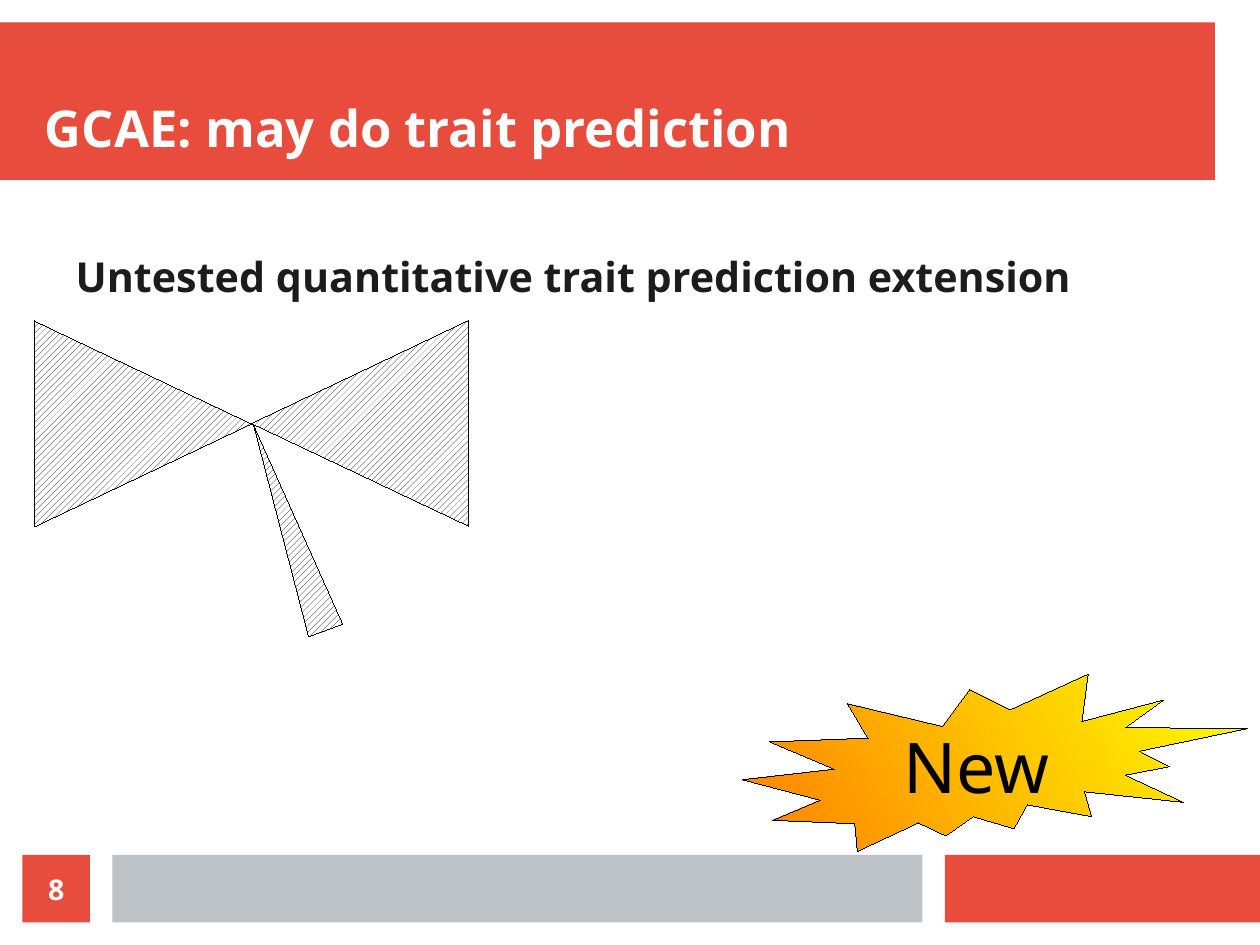
from pptx import Presentation
from pptx import util as u
from pptx.dml.color import RGBColor
from pptx.enum import dml, shapes, text
from pptx.oxml.ns import qn
from lxml import etree

RED = RGBColor(0xE7, 0x4C, 0x3C)
GREY = RGBColor(0xBD, 0xC3, 0xC7)
WHITE = RGBColor(0xFF, 0xFF, 0xFF)
BLACK = RGBColor(0, 0, 0)
INK = RGBColor(0x1C, 0x1C, 0x1C)
YELLOW = RGBColor(0xFF, 0xFF, 0)
ORANGE = RGBColor(0xFF, 0x80, 0)
FONT = "Noto Sans"

TITLE = "GCAE: may do trait prediction"
BODY = "Untested quantitative trait prediction extension"
BADGE = "New"
PAGE_NUMBER = "8"

TITLE_BOX = (1, 1, 26, 2.5)
BODY_BOX = (1.68, 5.58, 25.5, 13)
BADGE_BOX = (16.5, 14.98, 11.22, 3.94)
NUMBER_BOX = (0.5, 19, 1.5, 1.5)
BARS = [
    ((0, 0.5, 27, 3.5), RED),
    ((21, 19, 7, 1.5), RED),
    ((2.5, 19, 18, 1.5), GREY),
]
TRIANGLES = [
    [(0.76, 7.13), (5.59, 9.42), (0.76, 11.71)],
    [(10.41, 7.12), (5.59, 9.41), (10.41, 11.69)],
    [(7.62, 13.87), (5.64, 9.45), (6.86, 14.15)],
]


def lengths(values):
    """Turn centimetre values into slide lengths."""
    return [u.Cm(value) for value in values]


def place(shape, box):
    """Move and size a shape."""
    shape.left, shape.top, shape.width, shape.height = lengths(box)


def write(shape, words, size, color, bold, align, anchor, margins=(0, 0)):
    """Fill a shape with one formatted line and return its paragraph."""
    frame = shape.text_frame
    frame.auto_size = text.MSO_AUTO_SIZE.NONE
    frame.vertical_anchor = anchor
    frame.margin_left = frame.margin_right = u.Cm(margins[0])
    frame.margin_top = frame.margin_bottom = u.Cm(margins[1])
    paragraph = frame.paragraphs[0]
    paragraph.alignment = align
    paragraph.space_before = u.Pt(0)
    run = paragraph.add_run()
    run.text = words
    run.font.name = FONT
    run.font.size = u.Pt(size)
    run.font.bold = bold
    run.font.color.rgb = color
    return paragraph


def add_preset(slide, kind, box):
    """Add a preset shape without shadow."""
    shape = slide.shapes.add_shape(kind, *lengths(box))
    shape.shadow.inherit = False
    return shape


def add_bar(slide, box, color):
    """Add a plain rectangle without outline."""
    bar = add_preset(slide, shapes.MSO_SHAPE.RECTANGLE, box)
    bar.fill.solid()
    bar.fill.fore_color.rgb = color
    bar.line.fill.background()
    return bar


def outline(shape):
    """Give a shape a black hairline."""
    shape.line.color.rgb = BLACK
    shape.element.spPr.find(qn("a:ln")).set("w", "0")


def add_triangle(slide, points):
    """Add a hatched triangle."""
    start, *others = [lengths(point) for point in points]
    builder = slide.shapes.build_freeform(*start, scale=1.0)
    builder.add_line_segments(others, close=True)
    triangle = builder.convert_to_shape()
    triangle.shadow.inherit = False
    triangle.fill.patterned()
    triangle.fill.pattern = dml.MSO_PATTERN.WIDE_UPWARD_DIAGONAL
    triangle.fill.fore_color.rgb = BLACK
    triangle.fill.back_color.rgb = WHITE
    outline(triangle)


def add_badge(slide):
    """Add the gradient starburst."""
    badge = add_preset(slide, shapes.MSO_SHAPE.EXPLOSION2, BADGE_BOX)
    badge.fill.gradient()
    badge.fill.gradient_angle = 210
    for stop, color, position in zip(badge.fill.gradient_stops, (YELLOW, ORANGE), (0, 1)):
        stop.color.rgb = color
        stop.position = position
    outline(badge)
    write(badge, BADGE, 44, BLACK, False, text.PP_ALIGN.CENTER,
          text.MSO_ANCHOR.MIDDLE, (0.25, 0.13))
    badge.text_frame.word_wrap = False


def main():
    """Build the slide and save it."""
    presentation = Presentation()
    presentation.slide_width, presentation.slide_height = lengths((28, 21))
    slide = presentation.slides.add_slide(presentation.slide_layouts[1])
    title, body = slide.placeholders

    for box, color in BARS:
        title.element.addprevious(add_bar(slide, box, color).element)

    place(title, TITLE_BOX)
    write(title, TITLE, 32, WHITE, True, text.PP_ALIGN.LEFT, text.MSO_ANCHOR.BOTTOM)

    place(body, BODY_BOX)
    paragraph = write(body, BODY, 26, INK, True, text.PP_ALIGN.LEFT, text.MSO_ANCHOR.TOP)
    paragraph.space_after = u.Pt(11.4)
    properties = paragraph._p.get_or_add_pPr()
    properties.set("marL", "0")
    properties.set("indent", "0")
    etree.SubElement(properties, qn("a:buNone"))

    add_badge(slide)
    for points in TRIANGLES:
        add_triangle(slide, points)

    number = add_bar(slide, NUMBER_BOX, RED)
    write(number, PAGE_NUMBER, 18, WHITE, True, text.PP_ALIGN.CENTER, text.MSO_ANCHOR.MIDDLE)

    presentation.save("out.pptx")


if __name__ == "__main__":
    main()
